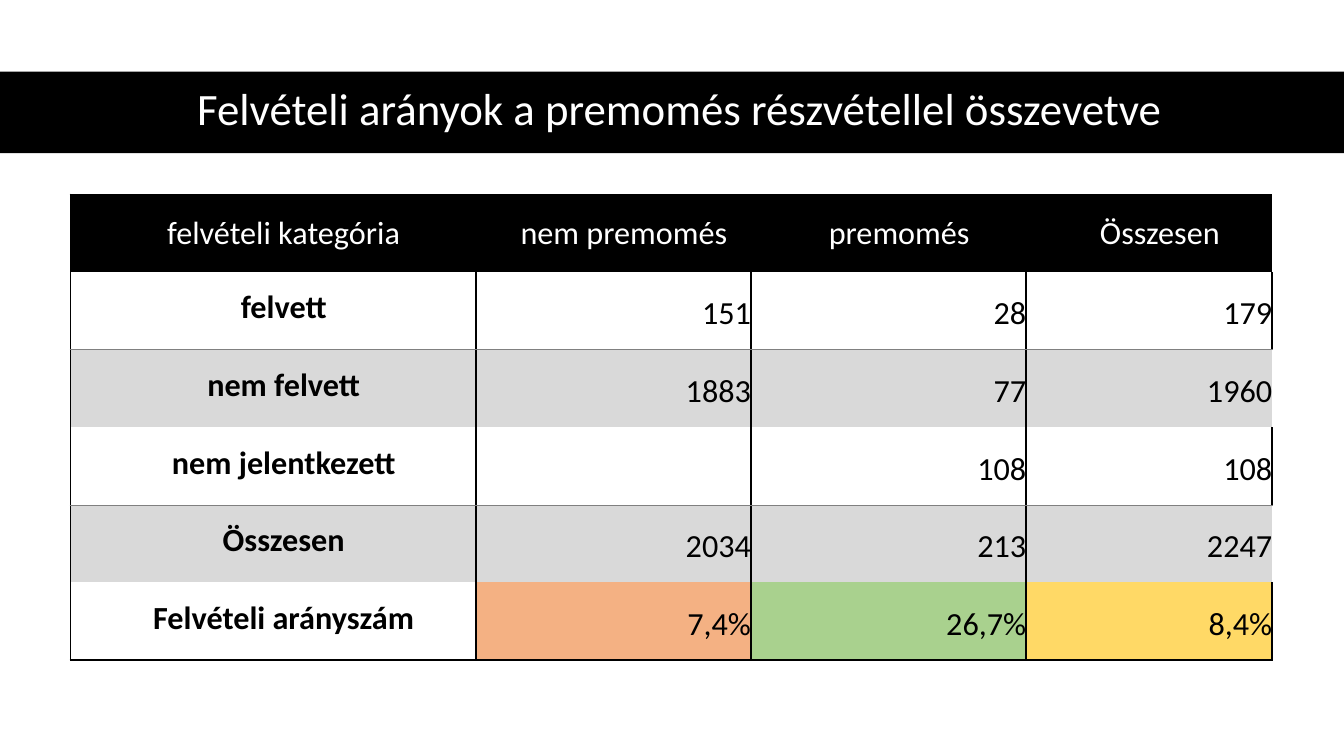
from lxml import etree
from pptx import Presentation
from pptx.dml.color import RGBColor
from pptx.enum.shapes import MSO_SHAPE
from pptx.enum.text import MSO_ANCHOR, MSO_AUTO_SIZE, PP_ALIGN
from pptx.oxml.ns import qn
from pptx.util import Inches, Pt

RECTANGLE = MSO_SHAPE.RECTANGLE
TOP, MIDDLE, BOTTOM = MSO_ANCHOR.TOP, MSO_ANCHOR.MIDDLE, MSO_ANCHOR.BOTTOM
CENTER, RIGHT = PP_ALIGN.CENTER, PP_ALIGN.RIGHT
NO_AUTOFIT = MSO_AUTO_SIZE.NONE

BLACK = RGBColor(0x00, 0x00, 0x00)
WHITE = RGBColor(0xFF, 0xFF, 0xFF)
GRAY = RGBColor(0x80, 0x80, 0x80)
LIGHT_GRAY = RGBColor(0xD9, 0xD9, 0xD9)
ORANGE = RGBColor(0xF4, 0xB1, 0x83)
GREEN = RGBColor(0xA9, 0xD1, 0x8E)
YELLOW = RGBColor(0xFF, 0xD9, 0x66)

TITLE = "Felvételi arányok a premomés részvétellel összevetve"
ROWS = [
    ("felvételi kategória", "nem premomés", "premomés", "Összesen"),
    ("felvett", "151", "28", "179"),
    ("nem felvett", "1883", "77", "1960"),
    ("nem jelentkezett", "", "108", "108"),
    ("Összesen", "2034", "213", "2247"),
    ("Felvételi arányszám", "7,4%", "26,7%", "8,4%"),
]
RATE_FILLS = (None, ORANGE, GREEN, YELLOW)
COLUMN_WIDTHS = (4.02, 2.73, 2.73, 2.44)
ROW_HEIGHT = 0.77
LAST_ROW, LAST_COLUMN = len(ROWS) - 1, len(COLUMN_WIDTHS) - 1
THICK, THIN = (BLACK, 1.5), (GRAY, 0.5)
CELL_MARGINS = {"margin_left": 0.21, "margin_top": 0.16,
                "margin_right": 0, "margin_bottom": 0.16}


def format_text(paragraph, alignment, **font_values):
    paragraph.alignment = alignment
    for name, value in font_values.items():
        setattr(paragraph.font, name, value)


def write(paragraph, text, alignment, size, color, bold=False):
    run = paragraph.add_run()
    run.text = text
    run.font.color.rgb = color
    format_text(paragraph, alignment, size=Pt(size))
    for name, value in {"name": "Calibri", "size": Pt(size), "bold": bold}.items():
        setattr(run.font, name, value)


def cell_fill(row, column):
    if row == 0:
        return BLACK
    if row == LAST_ROW:
        return RATE_FILLS[column]
    return LIGHT_GRAY if row % 2 == 0 else None


def cell_borders(row, column):
    if row == 0:
        return {"T": THICK, "L": THICK if column == 0 else None}
    if row == LAST_ROW:
        return {"L": THICK, "R": THICK, "B": THICK}
    if row % 2:
        return {"L": THICK, "R": THICK, "B": THIN}
    return {"L": THICK, "T": THIN, "R": THICK if column < LAST_COLUMN else None}


def set_borders(cell, borders):
    properties = cell._tc.get_or_add_tcPr()
    for side in "LRTB":
        line = etree.SubElement(properties, qn(f"a:ln{side}"))
        if borders.get(side):
            color, width = borders[side]
            line.set("w", str(Pt(width)))
            solid = etree.SubElement(line, qn("a:solidFill"))
            etree.SubElement(solid, qn("a:srgbClr"), val=str(color))
        else:
            etree.SubElement(line, qn("a:noFill"))


def add_title(slide):
    band = slide.shapes.add_shape(
        RECTANGLE, 0, Inches(0.71), Inches(13.33), Inches(0.81))
    band.shadow.inherit = False
    band.fill.solid()
    band.fill.fore_color.rgb = BLACK
    band.line.fill.background()
    title = slide.shapes.title
    title.element.addprevious(band.element)
    box = {"left": 0.61, "top": 0.7, "width": 12.26, "height": 0.81}
    for name, value in box.items():
        setattr(title, name, Inches(value))
    frame = title.text_frame
    frame.word_wrap = True
    frame.auto_size = NO_AUTOFIT
    frame.vertical_anchor = MIDDLE
    paragraph = frame.paragraphs[0]
    paragraph.line_spacing = 0.9
    write(paragraph, TITLE, CENTER, 32, WHITE)


def add_admission_table(slide):
    table = slide.shapes.add_table(
        len(ROWS), len(COLUMN_WIDTHS), Inches(0.7), Inches(1.93),
        Inches(sum(COLUMN_WIDTHS)), Inches(ROW_HEIGHT * len(ROWS))).table
    table.first_row = False
    table.horz_banding = False
    for column, width in zip(table.columns, COLUMN_WIDTHS):
        column.width = Inches(width)
    for row_index, values in enumerate(ROWS):
        table.rows[row_index].height = Inches(ROW_HEIGHT)
        header = row_index == 0
        for column_index, text in enumerate(values):
            cell = table.cell(row_index, column_index)
            label = column_index == 0
            for name, value in CELL_MARGINS.items():
                setattr(cell, name, Inches(value))
            cell.vertical_anchor = MIDDLE if header else TOP if label else BOTTOM
            set_borders(cell, cell_borders(row_index, column_index))
            fill = cell_fill(row_index, column_index)
            if fill is None:
                cell.fill.background()
            else:
                cell.fill.solid()
                cell.fill.fore_color.rgb = fill
            paragraph = cell.text_frame.paragraphs[0]
            if text:
                write(paragraph, text, CENTER if header or label else RIGHT, 23,
                      WHITE if header else BLACK, label and not header)


def main():
    presentation = Presentation()
    presentation.slide_width = Inches(13.33)
    presentation.slide_height = Inches(7.5)
    slide = presentation.slides.add_slide(presentation.slide_layouts[5])
    add_title(slide)
    add_admission_table(slide)
    presentation.save("out.pptx")


if __name__ == "__main__":
    main()
